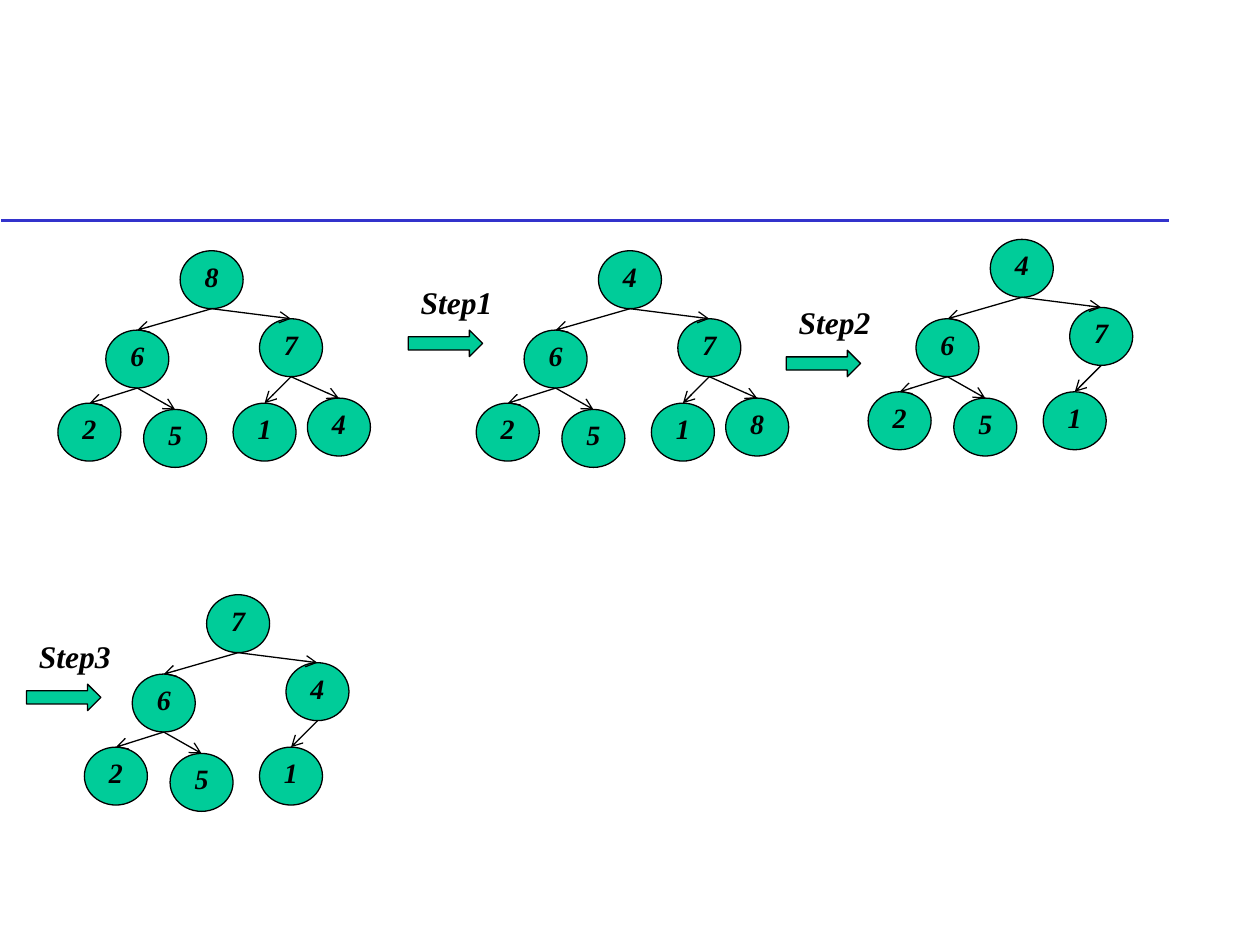
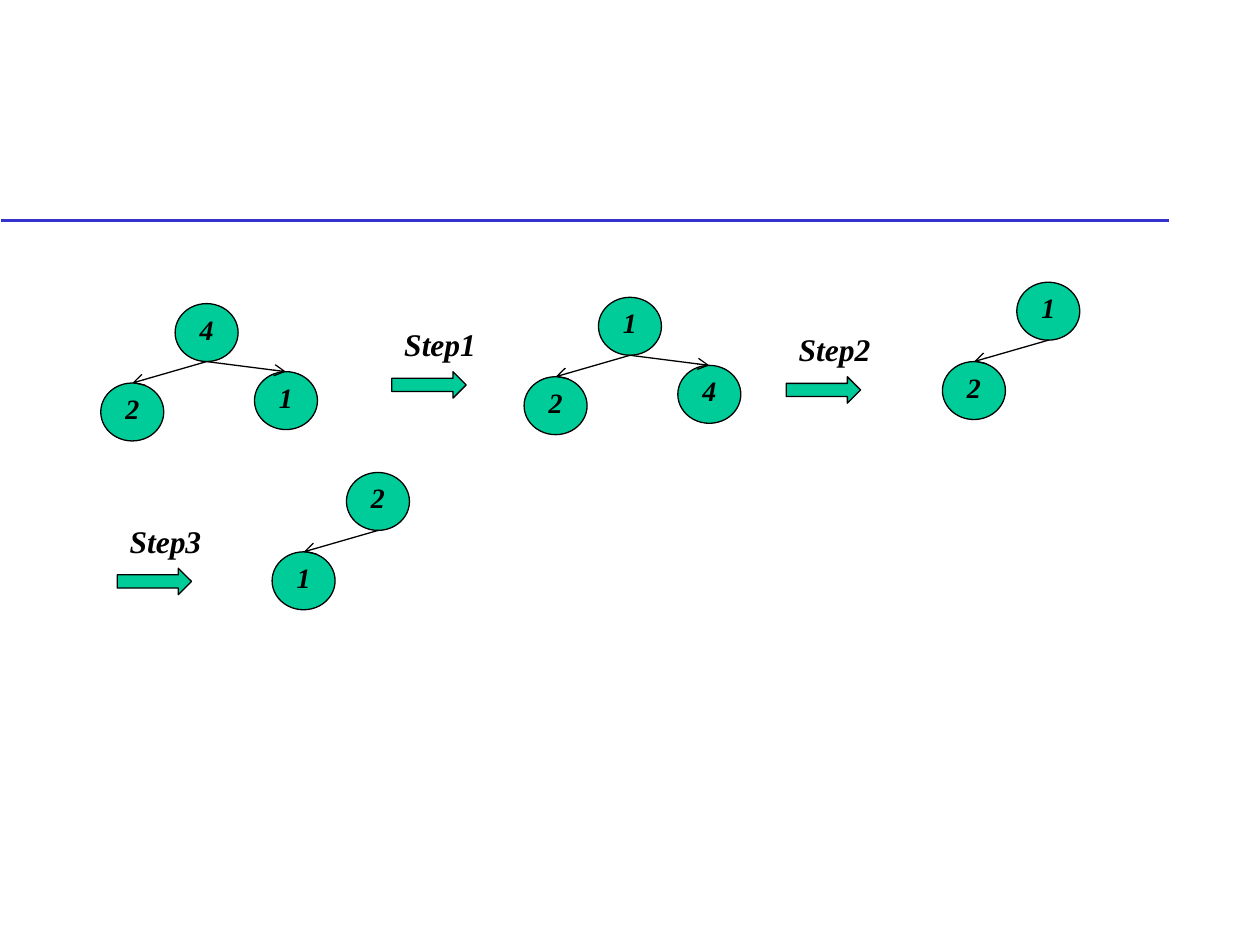
from lxml import etree
from pptx import Presentation
from pptx.dml.color import RGBColor
from pptx.enum.shapes import MSO_CONNECTOR, MSO_SHAPE
from pptx.enum.text import MSO_ANCHOR, MSO_AUTO_SIZE, PP_ALIGN
from pptx.oxml.ns import qn
from pptx.util import Inches, Pt

GREEN = RGBColor(0x00, 0xCC, 0x99)
BLUE = RGBColor(0x33, 0x33, 0xCC)
BLACK = RGBColor(0x00, 0x00, 0x00)
FONT = "Times New Roman"
NODE_WIDTH, NODE_HEIGHT = 0.5, 0.46
NODE_OFFSETS = [(0, 0), (-0.59, 0.63), (0.63, 0.54),
                (-0.97, 1.21), (-0.29, 1.26), (0.42, 1.21), (1.01, 1.17)]

# Each tree is (root left, root top, keys in level order); each step is (label, left, top).
SLIDES = [
    {
        "trees": [(1.43, 1.99, "8672514"), (4.75, 1.99, "4672518"),
                  (7.86, 1.9, "467251"), (1.64, 4.72, "764251")],
        "steps": [("Step1", 3.24, 2.2), ("Step2", 6.24, 2.36), ("Step3", 0.21, 5.01)],
    },
    {
        "trees": [(1.39, 2.41, "421"), (4.75, 2.36, "124"),
                  (8.07, 2.24, "12"), (2.75, 3.75, "21")],
        "steps": [("Step1", 3.11, 2.53), ("Step2", 6.24, 2.57), ("Step3", 0.93, 4.09)],
    },
]


def style_text(paragraph, size):
    """Apply the shared bold italic lettering."""
    font = paragraph.font
    font.name, font.size = FONT, Pt(size)
    font.bold = font.italic = True
    font.color.rgb = BLACK


def add_green_shape(shapes, kind, left, top, width, height):
    """Add a green preset shape with a thin black outline."""
    shape = shapes.add_shape(kind, Inches(left), Inches(top), Inches(width), Inches(height))
    shape.shadow.inherit = False
    shape.fill.solid()
    shape.fill.fore_color.rgb = GREEN
    shape.line.color.rgb = BLACK
    shape.line.width = Pt(0.75)
    return shape


def add_line(shapes, start, end, color, width, arrow=False):
    """Add a straight line, with an open arrowhead at its end if asked."""
    line = shapes.add_connector(MSO_CONNECTOR.STRAIGHT, *map(Inches, start + end))
    line.line.color.rgb = color
    line.line.width = Pt(width)
    if arrow:
        outline = line.line._get_or_add_ln()
        etree.SubElement(outline, qn("a:tailEnd"), type="arrow")
    etree.SubElement(line._element.spPr, qn("a:effectLst"))


def add_node(shapes, left, top, key):
    """Add one round tree node with its key."""
    node = add_green_shape(shapes, MSO_SHAPE.OVAL, left, top, NODE_WIDTH, NODE_HEIGHT)
    frame = node.text_frame
    frame.margin_left = frame.margin_right = frame.margin_top = frame.margin_bottom = 0
    frame.vertical_anchor = MSO_ANCHOR.TOP
    frame.text = key
    paragraph = frame.paragraphs[0]
    paragraph.alignment = PP_ALIGN.CENTER
    style_text(paragraph, 16)


def add_heap_tree(slide, left, top, keys):
    """Group a heap's nodes and edges, placed from the root's corner."""
    shapes = slide.shapes.add_group_shape().shapes
    corners = [(left + dx, top + dy) for dx, dy in NODE_OFFSETS[:len(keys)]]
    for (node_left, node_top), key in zip(corners, keys):
        add_node(shapes, node_left, node_top, key)
    for index, (child_left, child_top) in enumerate(corners[1:], start=1):
        parent_left, parent_top = corners[(index - 1) // 2]
        start = (parent_left + NODE_WIDTH / 2, parent_top + NODE_HEIGHT)
        end = (child_left + NODE_WIDTH / 2, child_top)
        add_line(shapes, start, end, BLACK, 0.75, arrow=True)


def add_step(slide, label, left, top):
    """Add a step label with its block arrow underneath."""
    add_green_shape(slide.shapes, MSO_SHAPE.RIGHT_ARROW, left, top + 0.42, 0.59, 0.21)
    box = slide.shapes.add_textbox(Inches(left), Inches(top), Inches(0.78), Inches(0.4))
    frame = box.text_frame
    frame.word_wrap = False
    frame.auto_size = MSO_AUTO_SIZE.SHAPE_TO_FIT_TEXT
    frame.text = label
    style_text(frame.paragraphs[0], 18)


def add_heap_slide(presentation, trees, steps):
    """Build a slide of heap trees joined by steps below the header rule."""
    slide = presentation.slides.add_slide(presentation.slide_layouts[6])
    add_line(slide.shapes, (0.01, 1.75), (9.28, 1.75), BLUE, 1.5)
    for tree in trees:
        add_heap_tree(slide, *tree)
    for step in steps:
        add_step(slide, *step)


def main():
    """Create and save the presentation."""
    presentation = Presentation()
    presentation.slide_width, presentation.slide_height = Inches(10), Inches(7.5)
    for content in SLIDES:
        add_heap_slide(presentation, **content)
    presentation.save("out.pptx")


if __name__ == "__main__":
    main()
